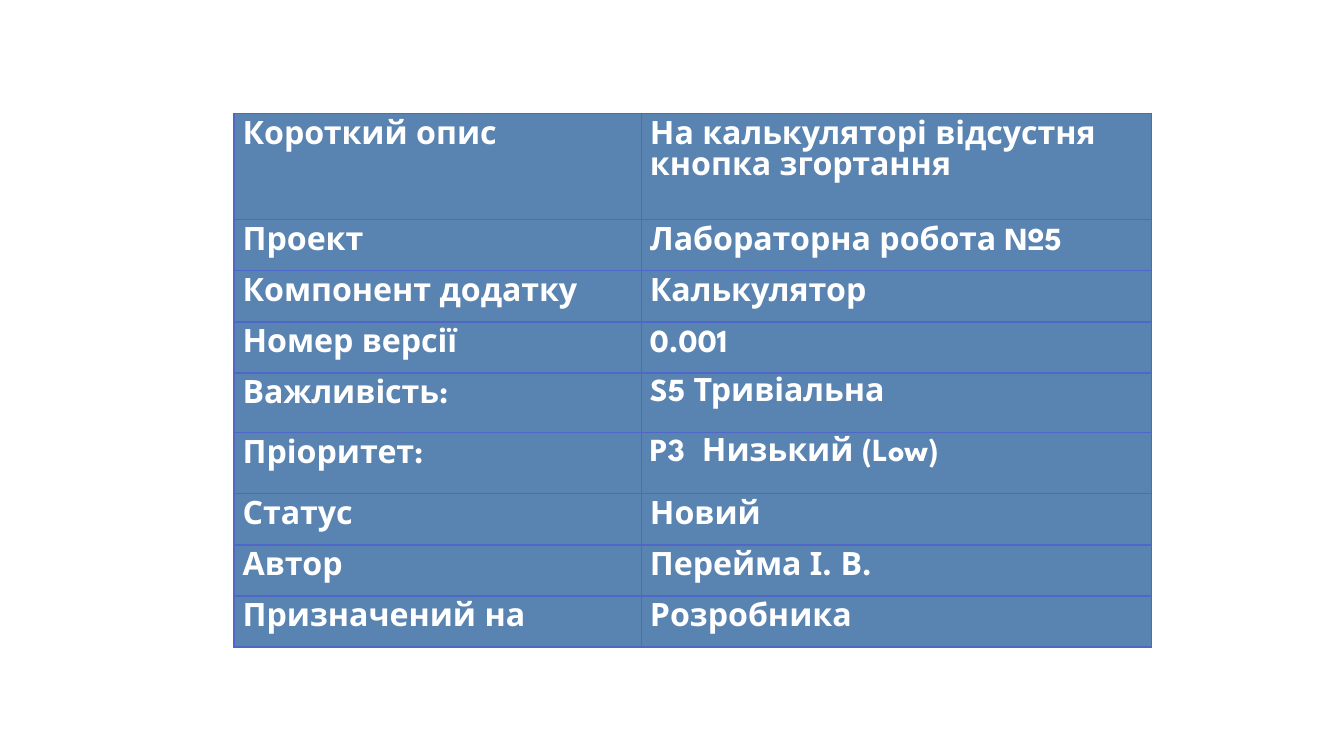
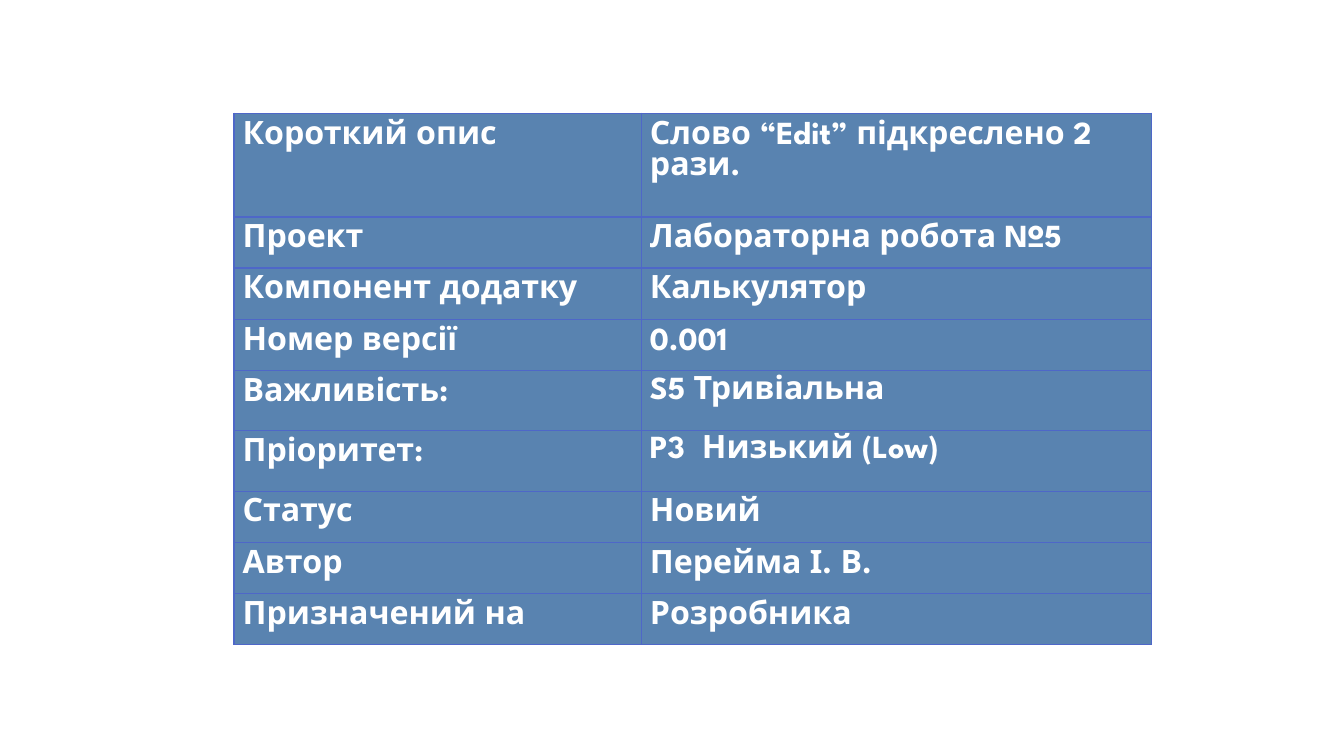
"""Build two bug report slides, each holding one table of fields."""
from lxml.etree import SubElement
from pptx import Presentation
from pptx.dml.color import RGBColor
from pptx.oxml.ns import qn
from pptx.util import Inches, Pt

COLORS = {"cell": "5983B0", "border": "4E67C8", "text": "FFFFFF"}
FONT = "League Spartan"
FONT_SIZE = 19
LINE_SPACING = 1.07
BORDER_WIDTH = 0.96
SLIDE_SIZE = (11.02, 6.2)
TABLE_ORIGIN = (1.92, 0.93)
COLUMN_WIDTHS = (3.34, 4.18)
CELL_MARGINS = (0.07, 0.05)
ROW_HEIGHT = 0.42
TALL_ROWS = {"Важливість:": 0.49, "Пріоритет:": 0.5}
SINGLE_SPACED = ("S5 Тривіальна", "P3  Низький (Low)")

SUMMARY_LABEL = "Короткий опис"
REPORTS = (
    ("На калькуляторі відсустня кнопка згортання", 0.87),
    ("Слово “Edit” підкреслено 2 рази.", 0.85),
)
SHARED_FIELDS = (
    ("Проект", "Лабораторна робота №5"),
    ("Компонент додатку", "Калькулятор"),
    ("Номер версії", "0.001"),
    ("Важливість:", "S5 Тривіальна"),
    ("Пріоритет:", "P3  Низький (Low)"),
    ("Статус", "Новий"),
    ("Автор", "Перейма І. В."),
    ("Призначений на", "Розробника"),
)


def set_borders(cell):
    properties = cell._tc.get_or_add_tcPr()
    for side in ("a:lnL", "a:lnR", "a:lnT", "a:lnB"):
        line = SubElement(properties, qn(side), w=str(Pt(BORDER_WIDTH)))
        fill = SubElement(line, qn("a:solidFill"))
        SubElement(fill, qn("a:srgbClr"), val=COLORS["border"])


def fill_cell(cell, text):
    set_borders(cell)
    cell.fill.solid()
    cell.fill.fore_color.rgb = RGBColor.from_string(COLORS["cell"])
    horizontal, vertical = map(Inches, CELL_MARGINS)
    cell.margin_left = cell.margin_right = horizontal
    cell.margin_top = cell.margin_bottom = vertical
    cell.text = text
    paragraph = cell.text_frame.paragraphs[0]
    paragraph.line_spacing = 1.0 if text in SINGLE_SPACED else LINE_SPACING
    font = paragraph.font
    font.name = FONT
    font.size = Pt(FONT_SIZE)
    font.bold = True
    font.color.rgb = RGBColor.from_string(COLORS["text"])


def add_report(deck, summary, summary_height):
    page = deck.slides.add_slide(deck.slide_layouts[6])
    fields = ((SUMMARY_LABEL, summary),) + SHARED_FIELDS
    heights = [summary_height]
    heights += [TALL_ROWS.get(label, ROW_HEIGHT) for label, _ in SHARED_FIELDS]
    left, top = map(Inches, TABLE_ORIGIN)
    table = page.shapes.add_table(
        len(fields), len(COLUMN_WIDTHS), left, top,
        Inches(sum(COLUMN_WIDTHS)), Inches(sum(heights)),
    ).table
    table.first_row = table.horz_banding = False
    for column, width in zip(table.columns, COLUMN_WIDTHS):
        column.width = Inches(width)
    for row, height, field in zip(table.rows, heights, fields):
        row.height = Inches(height)
        for cell, text in zip(row.cells, field):
            fill_cell(cell, text)


def main():
    deck = Presentation()
    deck.slide_width, deck.slide_height = map(Inches, SLIDE_SIZE)
    for summary, height in REPORTS:
        add_report(deck, summary, height)
    deck.save("out.pptx")


if __name__ == "__main__":
    main()
